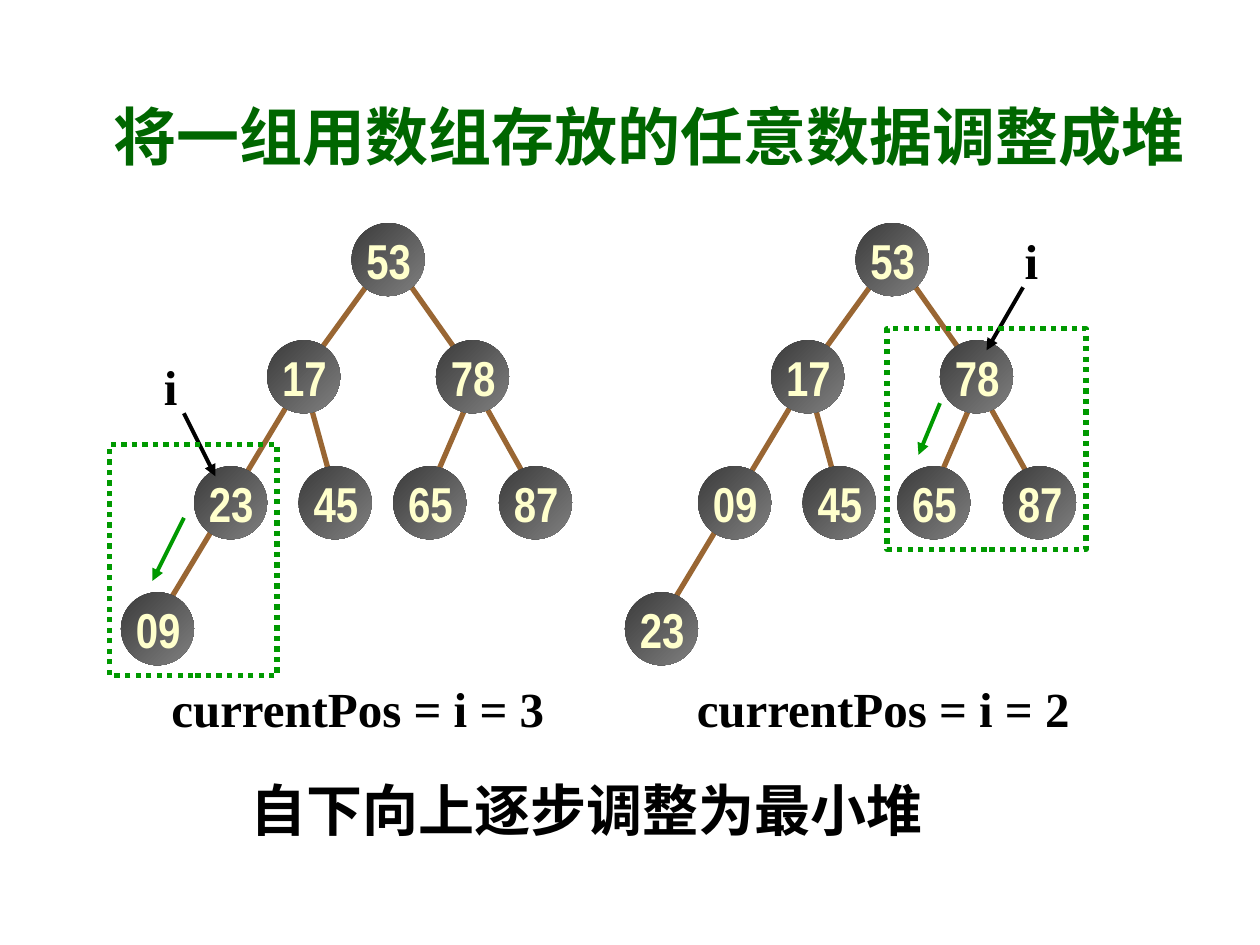
from lxml import etree
from pptx import Presentation
from pptx import util as u
from pptx.dml.color import RGBColor
from pptx.enum import dml, shapes, text
from pptx.oxml.ns import qn

COLORS = {
    "title": "006600", "text": "000000", "label": "FFFFCC", "edge": "996633",
    "mark": "009900", "node_dark": "3B3B3B", "node_light": "808080",
}
SERIF, SANS, NARROW = "Times New Roman", "Arial", "Arial Narrow"
NODE = 0.58
TREE_STEP = 4

NODES = [(2.79, 1.77), (2.12, 2.7), (3.46, 2.7), (1.54, 3.7),
         (2.37, 3.7), (3.12, 3.7), (3.96, 3.7), (0.96, 4.7)]
EDGES = [((3.79, 3.11), (4.21, 3.86)), ((3.71, 3.2), (3.46, 3.78)),
         ((3.21, 2.2), (3.62, 2.78)), ((2.46, 3.2), (2.62, 3.78)),
         ((2.96, 2.2), (2.54, 2.78)), ((2.29, 3.2), (1.29, 4.86))]
TREES = [
    {"values": ["53", "17", "78", "23", "45", "65", "87", "09"],
     "caption": ("currentPos = i = 3", 1.26),
     "index": (1.2, 2.78), "pointer": ((1.46, 3.28), (1.71, 3.78)),
     "frame": (0.87, 3.53, 1.33, 1.83), "sift": ((1.46, 4.11), (1.21, 4.61))},
    {"values": ["53", "17", "78", "09", "45", "65", "87", "23"],
     "caption": ("currentPos = i = 2", 5.43),
     "index": (8.03, 1.78), "pointer": ((8.12, 2.28), (7.83, 2.78)),
     "frame": (7.04, 2.61, 1.58, 1.75), "sift": ((7.46, 3.2), (7.29, 3.61))},
]


def rgb(name):
    return RGBColor.from_string(COLORS[name])


def put_text(tf, content, size=28, font=SERIF, color="text",
             align=text.PP_ALIGN.CENTER, anchor=text.MSO_ANCHOR.MIDDLE):
    tf.vertical_anchor = anchor
    p = tf.paragraphs[0]
    p.alignment = align
    r = p.add_run()
    r.text = content
    r.font.size = u.Pt(size)
    r.font.name = font
    r.font.bold = True
    r.font.color.rgb = rgb(color)


class Deck:
    def __init__(self, width, height):
        self.prs = Presentation()
        self.prs.slide_width = u.Inches(width)
        self.prs.slide_height = u.Inches(height)
        self.s = self.prs.slides.add_slide(self.prs.slide_layouts[5])

    def title(self, content, box, **style):
        sp = self.s.shapes.title
        sp.left, sp.top, sp.width, sp.height = map(u.Inches, box)
        put_text(sp.text_frame, content, **style)

    def label(self, content, box, wrap=False, **style):
        sp = self.s.shapes.add_textbox(*map(u.Inches, box))
        tf = sp.text_frame
        tf.word_wrap = wrap
        if not wrap:
            tf.margin_left = tf.margin_right = 0
        put_text(tf, content, **style)

    def line(self, start, end, color, width, arrow=False):
        c = self.s.shapes.add_connector(
            shapes.MSO_CONNECTOR.STRAIGHT, *map(u.Inches, (*start, *end)))
        c.line.color.rgb = rgb(color)
        c.line.width = u.Pt(width)
        if arrow:
            ln = c.line._get_or_add_ln()
            etree.SubElement(ln, qn("a:tailEnd"), type="triangle")
        etree.SubElement(c._element.spPr, qn("a:effectLst"))

    def node(self, x, y):
        sp = self.s.shapes.add_shape(
            shapes.MSO_SHAPE.OVAL, *map(u.Inches, (x, y, NODE, NODE)))
        sp.shadow.inherit = False
        sp.line.fill.background()
        sp.fill.gradient()
        sp.fill.gradient_angle = 315
        for stop, name in zip(sp.fill.gradient_stops, ("node_dark", "node_light")):
            stop.color.rgb = rgb(name)

    def frame(self, box):
        sp = self.s.shapes.add_shape(
            shapes.MSO_SHAPE.RECTANGLE, *map(u.Inches, box))
        sp.shadow.inherit = False
        sp.fill.background()
        sp.line.color.rgb = rgb("mark")
        sp.line.width = u.Pt(3)
        sp.line.dash_style = dml.MSO_LINE.ROUND_DOT

    def tree(self, values, dx):
        for (x1, y1), (x2, y2) in EDGES:
            self.line((x1 + dx, y1), (x2 + dx, y2), "edge", 3)
        for x, y in NODES:
            self.node(x + dx, y)
        for value, (x, y) in zip(values, NODES):
            self.label(value, (x + dx + 0.02, y + 0.01, 0.55, 0.57),
                       font=NARROW, color="label")


def main():
    deck = Deck(10, 7.5)
    deck.title("将一组用数组存放的任意数据调整成堆", (0.65, 0.52, 9, 1.1),
               size=36, font=SANS, color="title")
    deck.label("自下向上逐步调整为最小堆", (1.89, 6.11, 6.79, 0.64), wrap=True,
               size=32, align=text.PP_ALIGN.LEFT, anchor=text.MSO_ANCHOR.TOP)
    for i, tree in enumerate(TREES):
        caption, left = tree["caption"]
        deck.label(caption, (left, 5.33, 3.16, 0.57))
        deck.tree(tree["values"], i * TREE_STEP)
        deck.line(*tree["pointer"], "text", 2.25, arrow=True)
        deck.label("i", (*tree["index"], 0.31, 0.57))
        deck.frame(tree["frame"])
        deck.line(*tree["sift"], "mark", 2.25, arrow=True)
    deck.prs.save("out.pptx")


if __name__ == "__main__":
    main()
